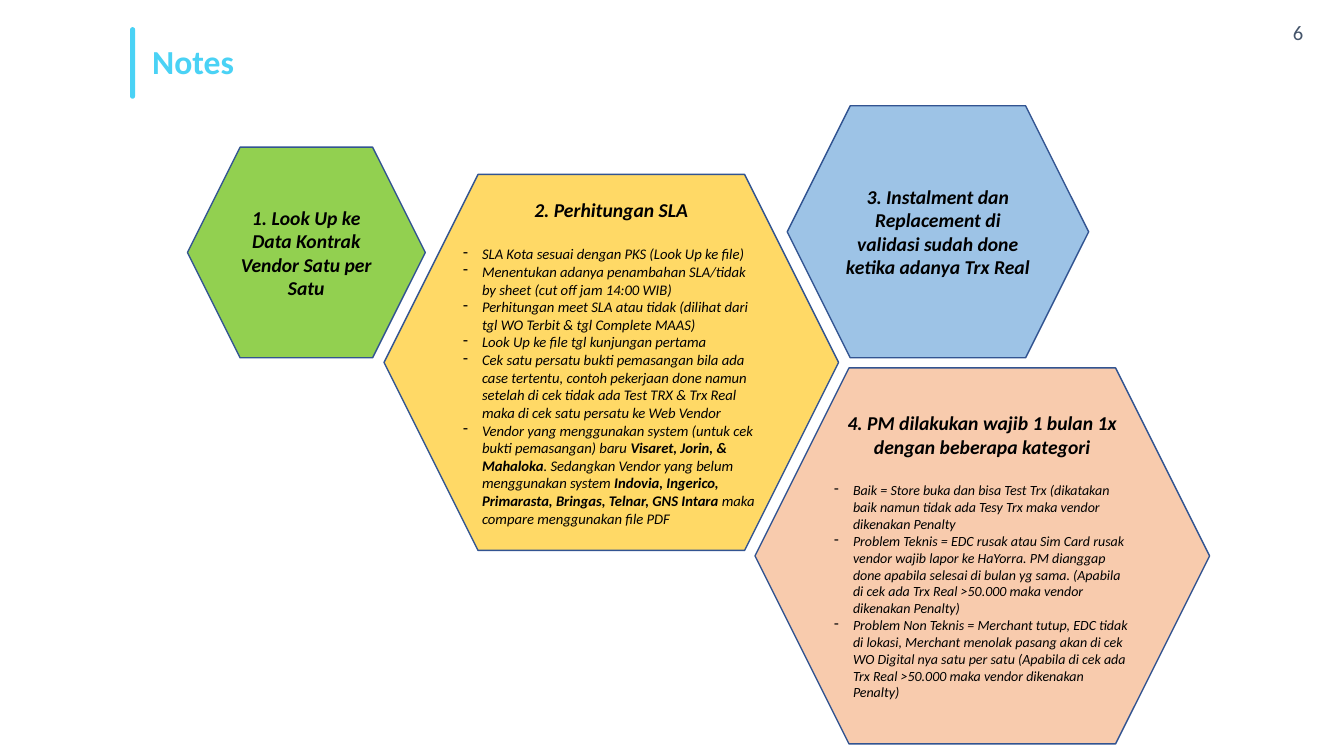
from lxml import etree
from pptx import Presentation
from pptx.dml import color
from pptx.enum import shapes, text
from pptx.oxml import ns
from pptx.util import Pt

FONT = "Calibri"
HUES = {
    "cyan": "4AD2F5", "slate": "44546A", "edge": "325491", "ink": "000000",
    "gold": "FFD966", "green": "92D050", "blue": "9DC3E6", "peach": "F8CBAD",
}
BIG = (324.7, 268.6)

SLA = [
    ["SLA Kota sesuai dengan PKS (Look Up ke file)"],
    ["Menentukan adanya penambahan SLA/tidak by sheet (cut off jam 14:00 WIB)"],
    ["Perhitungan meet SLA atau tidak (dilihat dari tgl WO Terbit & tgl Complete MAAS)"],
    ["Look Up ke file tgl kunjungan pertama"],
    ["Cek satu persatu bukti pemasangan bila ada case tertentu, contoh pekerjaan done "
     "namun setelah di cek tidak ada Test TRX & Trx Real maka di cek satu persatu ke Web Vendor"],
    ["Vendor yang menggunakan system (untuk cek bukti pemasangan) baru ",
     "Visaret, Jorin, & Mahaloka",
     ". Sedangkan Vendor yang belum menggunakan system ",
     "Indovia, Ingerico, Primarasta, Bringas, Telnar, GNS Intara ",
     "maka compare menggunakan file PDF"],
]
VISIT = [
    ["Baik = Store buka dan bisa Test Trx (dikatakan baik namun tidak ada Tesy Trx "
     "maka vendor dikenakan Penalty"],
    ["Problem Teknis = EDC rusak atau Sim Card rusak vendor wajib lapor ke HaYorra. "
     "PM dianggap done apabila selesai di bulan yg sama. (Apabila di cek ada Trx Real "
     ">50.000 maka vendor dikenakan Penalty)"],
    ["Problem Non Teknis = Merchant tutup, EDC tidak di lokasi, Merchant menolak pasang "
     "akan di cek WO Digital nya satu per satu (Apabila di cek ada Trx Real >50.000 maka "
     "vendor dikenakan Penalty)"],
]


def rgb(hue):
    return color.RGBColor.from_string(HUES[hue])


def style(para, size, hue, bold=False, slant=False):
    font = para.font
    font.name, font.size = FONT, Pt(size)
    font.bold, font.italic = bold, slant
    font.color.rgb = rgb(hue)


def place(shape, left, top, width, height):
    shape.left, shape.top = Pt(left), Pt(top)
    shape.width, shape.height = Pt(width), Pt(height)


def solid(slide, kind, box, hue):
    shape = slide.shapes.add_shape(kind, *map(Pt, box))
    shape.shadow.inherit = False
    shape.fill.solid()
    shape.fill.fore_color.rgb = rgb(hue)
    return shape


def add_bar(slide, box):
    bar = solid(slide, shapes.MSO_SHAPE.ROUNDED_RECTANGLE, box, "cyan")
    bar.adjustments[0] = 0.5
    bar.line.fill.background()


def add_title(slide, words, box):
    title = slide.shapes.title
    place(title, *box)
    frame = title.text_frame
    frame.text = words
    frame.auto_size = text.MSO_AUTO_SIZE.NONE
    frame.vertical_anchor = text.MSO_ANCHOR.BOTTOM
    para = frame.paragraphs[0]
    para.alignment = text.PP_ALIGN.LEFT
    para.line_spacing = 0.9
    style(para, 24, "cyan", bold=True)


def add_number(slide, words, box):
    frame = slide.shapes.add_textbox(*map(Pt, box)).text_frame
    frame.word_wrap = True
    para = frame.paragraphs[0]
    para.text = words
    para.alignment = text.PP_ALIGN.RIGHT
    style(para, 14.7, "slate")


def add_point(frame, parts, size, gap):
    para = frame.add_paragraph()
    para.alignment = text.PP_ALIGN.LEFT
    para.space_before = Pt(gap)
    props = para._p.get_or_add_pPr()
    props.set("marL", str(Pt(13.5)))
    props.set("indent", str(Pt(-13.5)))
    etree.SubElement(props, ns.qn("a:buChar")).set("char", "-")
    style(para, size, "ink", slant=True)
    for rank, part in enumerate(parts):
        run = para.add_run()
        run.text = part
        if rank % 2:
            run.font.bold = True


def add_hex(slide, box, hue, head, points=(), size=10):
    shape = solid(slide, shapes.MSO_SHAPE.HEXAGON, box, hue)
    shape.line.color.rgb = rgb("edge")
    shape.line.width = Pt(1)
    frame = shape.text_frame
    frame.word_wrap = True
    frame.vertical_anchor = text.MSO_ANCHOR.MIDDLE
    para = frame.paragraphs[0]
    para.text = head
    para.alignment = text.PP_ALIGN.CENTER
    style(para, 14, "ink", bold=True, slant=True)
    for rank, parts in enumerate(points):
        add_point(frame, parts, size, 0 if rank else 17)


def main():
    deck = Presentation()
    deck.slide_width, deck.slide_height = Pt(960), Pt(540)
    slide = deck.slides.add_slide(deck.slide_layouts[5])
    add_bar(slide, (92.9, 19.4, 3.6, 51.1))
    add_number(slide, "6", (810.7, 10.8, 127.4, 13.7))
    add_title(slide, "Notes", (101.5, 33.8, 688.3, 28.1))
    add_hex(slide, (274.3, 124.6, *BIG), "gold", "2. Perhitungan SLA", SLA, 10.5)
    add_hex(slide, (133.9, 105.1, 169.9, 150.5), "green",
            "1. Look Up ke Data Kontrak Vendor Satu per Satu")
    add_hex(slide, (562.3, 75.6, 215.3, 180), "blue",
            "3. Instalment dan Replacement di validasi sudah done ketika adanya Trx Real")
    add_hex(slide, (539.3, 262.8, *BIG), "peach",
            "4. PM dilakukan wajib 1 bulan 1x dengan beberapa kategori", VISIT)
    deck.save("out.pptx")


if __name__ == "__main__":
    main()
